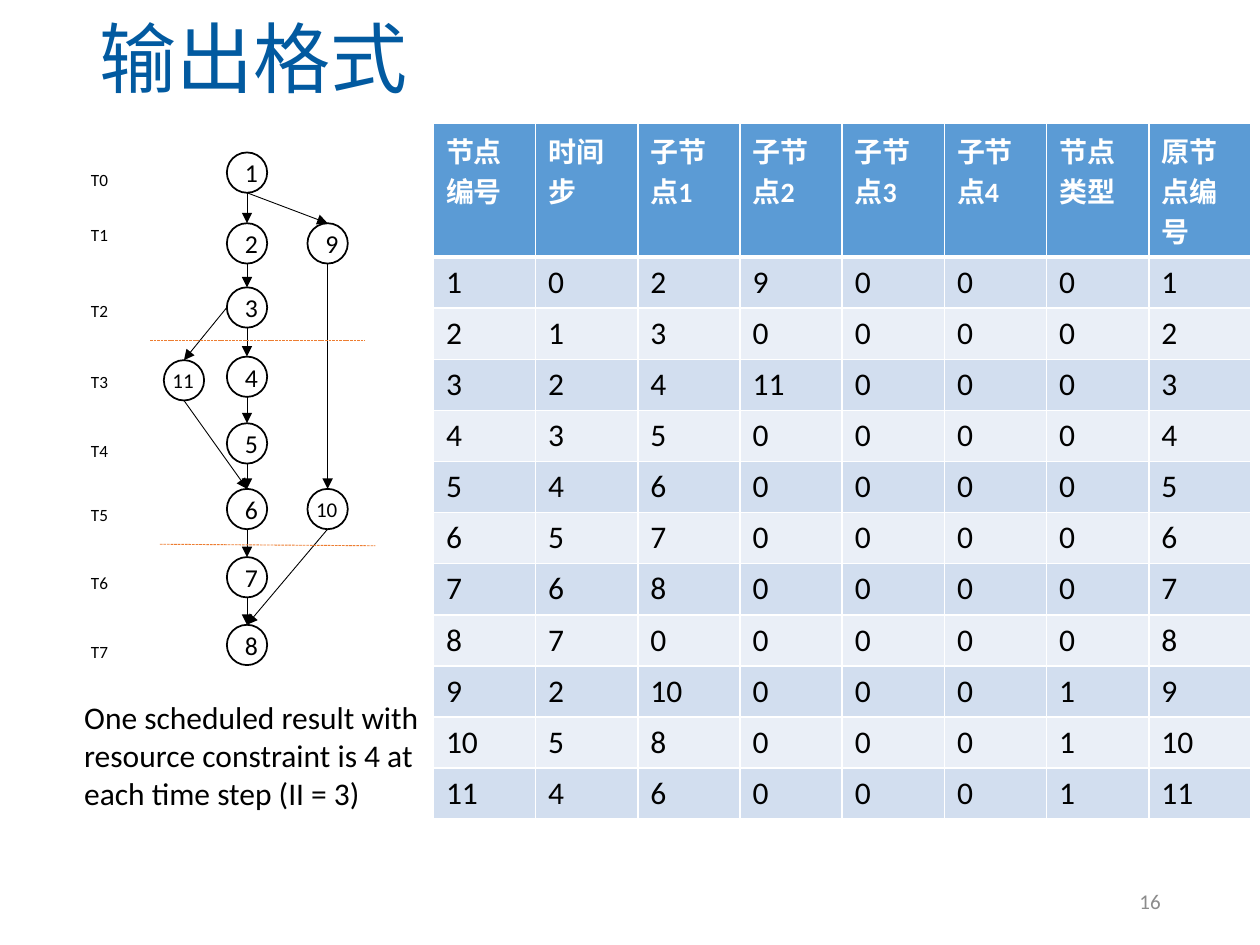
from dataclasses import dataclass

from lxml.etree import SubElement
from pptx import Presentation
from pptx.dml.color import RGBColor
from pptx.enum.dml import MSO_LINE
from pptx.enum.shapes import MSO_CONNECTOR, MSO_SHAPE
from pptx.enum.text import MSO_ANCHOR, MSO_AUTO_SIZE, PP_ALIGN
from pptx.oxml.ns import qn
from pptx.util import Inches, Pt


@dataclass(frozen=True)
class Theme:
    title: str = "025AA0"
    ink: str = "000000"
    muted: str = "8C8C8C"
    white: str = "FFFFFF"
    header: str = "5B9BD5"
    bands: tuple = ("D2DEEF", "EAEFF7")
    cut: str = "ED7D31"
    font: str = "Calibri"
    cjk: str = "Noto Sans CJK SC"
    title_pt: float = 44
    body_pt: float = 18
    header_pt: float = 16
    node_pt: float = 14.7
    small_pt: float = 12
    step_pt: float = 9.8


@dataclass(frozen=True)
class Box:
    """A region in inches; x and y turn percentages of it into positions."""
    left: float
    top: float
    width: float
    height: float

    def x(self, share):
        return self.left + self.width * share / 100

    def y(self, share):
        return self.top + self.height * share / 100

    @property
    def emu(self):
        return [Inches(v) for v in (self.left, self.top, self.width, self.height)]


T = Theme()
WIDTH, HEIGHT = 10, 7.5
TITLE_BOX = Box(0.69, 0.11, 8.62, 0.78)
GRAPH_BOX = Box(0.62, 1.21, 2.36, 4.07)
TABLE_BOX = Box(3.44, 0.98, 6.49, 5.32)
CAPTION_BOX = Box(0.57, 5.49, 3.23, 1.01)
NUMBER_BOX = Box(7.06, 6.95, 2.25, 0.4)

HEADERS = ["节点编号", "时间步", "子节点1", "子节点2", "子节点3", "子节点4", "节点类型", "原节点编号"]
# node: (time step, children, node type)
SCHEDULE = {
    1: (0, [2, 9], 0), 2: (1, [3], 0), 3: (2, [4, 11], 0), 4: (3, [5], 0),
    5: (4, [6], 0), 6: (5, [7], 0), 7: (6, [8], 0), 8: (7, [], 0),
    9: (2, [10], 1), 10: (5, [8], 1), 11: (4, [6], 1),
}
HEADER_ROW, BODY_ROW, MAX_CHILDREN = 0.92, 0.4, 4

# Percentages of the graph box
NODE_TOPS = [0, 13.8, 26.3, 39.8, 52.8, 65.6, 78.9, 92.1]
STEP_TOPS = [0.2, 11, 25.8, 39.6, 53.1, 65.6, 78.9, 92.4]
LEFT_LANE, MAIN_LANE, RIGHT_LANE = 35.6, 56.8, 83.9
SIDE_NODES = {9: (RIGHT_LANE, NODE_TOPS[1]), 10: (RIGHT_LANE, NODE_TOPS[5]), 11: (LEFT_LANE, 40.5)}
CUTS = [((24.2, 36.6), (96.6, 36.6)), ((27.5, 76.4), (100, 76.7))]
NODE_SIZE, STEP_SIZE = 0.32, 0.34


def rgb(value):
    return RGBColor.from_string(value)


def style(p, size, color=T.ink, bold=False, align=PP_ALIGN.LEFT, cjk=None):
    p.alignment = align
    for r in p.runs:
        r.font.size, r.font.bold = Pt(size), bold
        r.font.name, r.font.color.rgb = cjk or T.font, rgb(color)
        if cjk:
            SubElement(r.font._element, qn("a:ea"), typeface=cjk)


def add_text(s, box, text, size, color=T.ink, align=PP_ALIGN.LEFT, wrap=True):
    tf = s.shapes.add_textbox(*box.emu).text_frame
    tf.word_wrap = wrap
    tf.text = text
    style(tf.paragraphs[0], size, color, align=align)
    return tf


def add_line(s, start, end, color, arrow=False):
    c = s.shapes.add_connector(MSO_CONNECTOR.STRAIGHT, *[Inches(v) for v in (*start, *end)])
    c.line.color.rgb, c.line.width = rgb(color), Pt(0.5)
    if arrow:
        SubElement(c.line._get_or_add_ln(), qn("a:tailEnd"), type="triangle")
    else:
        c.line.dash_style = MSO_LINE.SQUARE_DOT
    SubElement(c._element.spPr, qn("a:effectLst"))


def add_node(s, node, box):
    sp = s.shapes.add_shape(MSO_SHAPE.OVAL, *box.emu)
    sp.shadow.inherit = False
    sp.fill.background()
    sp.line.color.rgb, sp.line.width = rgb(T.ink), Pt(1)
    if node > 9:
        label = Box(box.left - 0.03, box.top + 0.01, 0.4, 0.3)
        add_text(s, label, str(node), T.small_pt)
        return
    tf = sp.text_frame
    tf.margin_left, tf.margin_right = Inches(0.07), 0
    tf.margin_top = tf.margin_bottom = 0
    tf.word_wrap, tf.vertical_anchor = False, MSO_ANCHOR.MIDDLE
    tf.text = str(node)
    style(tf.paragraphs[0], T.node_pt, align=PP_ALIGN.CENTER)


def add_graph(s, box):
    nodes = {}
    for node in SCHEDULE:
        lane, top = SIDE_NODES.get(node) or (MAIN_LANE, NODE_TOPS[node - 1])
        nodes[node] = Box(box.x(lane) - NODE_SIZE / 2, box.y(top), NODE_SIZE, NODE_SIZE)
        add_node(s, node, nodes[node])
    for node, (_, children, _) in SCHEDULE.items():
        for child in children:
            leaves_left = nodes[child].left < nodes[node].left and child == 11
            side = (0, 50) if leaves_left else (50, 100)
            start = nodes[node].x(side[0]), nodes[node].y(side[1])
            add_line(s, start, (nodes[child].x(50), nodes[child].top), T.ink, arrow=True)
    for step, top in enumerate(STEP_TOPS):
        label = Box(box.left, box.y(top), STEP_SIZE, STEP_SIZE)
        tf = add_text(s, label, f"T{step}", T.step_pt, align=PP_ALIGN.CENTER, wrap=False)
        tf.paragraphs[0].line_spacing = Pt(17.1)
    for start, end in CUTS:
        add_line(s, (box.x(start[0]), box.y(start[1])), (box.x(end[0]), box.y(end[1])), T.cut)


def format_cell(cell, text, fill, size, color, bold, bottom_pt):
    cell.text = text
    style(cell.text_frame.paragraphs[0], size, color, bold)
    cell.fill.solid()
    cell.fill.fore_color.rgb = rgb(fill)
    tcPr = cell._tc.get_or_add_tcPr()
    for i, (side, width) in enumerate(zip("LRTB", (1, 1, 1, bottom_pt))):
        ln = SubElement(tcPr, qn(f"a:ln{side}"), w=str(Pt(width)))
        SubElement(SubElement(ln, qn("a:solidFill")), qn("a:srgbClr"), val=T.white)
        tcPr.insert(i, ln)


def add_schedule(s, box):
    rows = [HEADERS]
    for node, (step, children, kind) in SCHEDULE.items():
        padded = children + [0] * (MAX_CHILDREN - len(children))
        rows.append([node, step, *padded, kind, node])
    table = s.shapes.add_table(len(rows), len(HEADERS), *box.emu).table
    for column in table.columns:
        column.width = Inches(box.width / len(HEADERS))
    for i, values in enumerate(rows):
        table.rows[i].height = Inches(BODY_ROW if i else HEADER_ROW)
        look = ((T.bands[(i - 1) % 2], T.body_pt, T.ink, False, 1) if i
                else (T.header, T.header_pt, T.white, True, 3))
        for j, value in enumerate(values):
            format_cell(table.cell(i, j), str(value), *look)


def set_title(s, box, text):
    sp = s.shapes.title
    sp.left, sp.top, sp.width, sp.height = box.emu
    tf = sp.text_frame
    tf.text = text
    tf.auto_size, tf.vertical_anchor = MSO_AUTO_SIZE.NONE, MSO_ANCHOR.MIDDLE
    tf.paragraphs[0].line_spacing = 0.9
    style(tf.paragraphs[0], T.title_pt, T.title, cjk=T.cjk)


def main():
    prs = Presentation()
    prs.slide_width, prs.slide_height = Inches(WIDTH), Inches(HEIGHT)
    s = prs.slides.add_slide(prs.slide_layouts[5])
    set_title(s, TITLE_BOX, "输出格式")
    add_schedule(s, TABLE_BOX)
    add_graph(s, GRAPH_BOX)
    add_text(s, CAPTION_BOX, "One scheduled result with resource constraint is 4 at each time step (II = 3)", T.body_pt)
    tf = add_text(s, NUMBER_BOX, "16", T.small_pt, T.muted, PP_ALIGN.RIGHT)
    tf.vertical_anchor = MSO_ANCHOR.MIDDLE
    prs.save("out.pptx")


if __name__ == "__main__":
    main()
